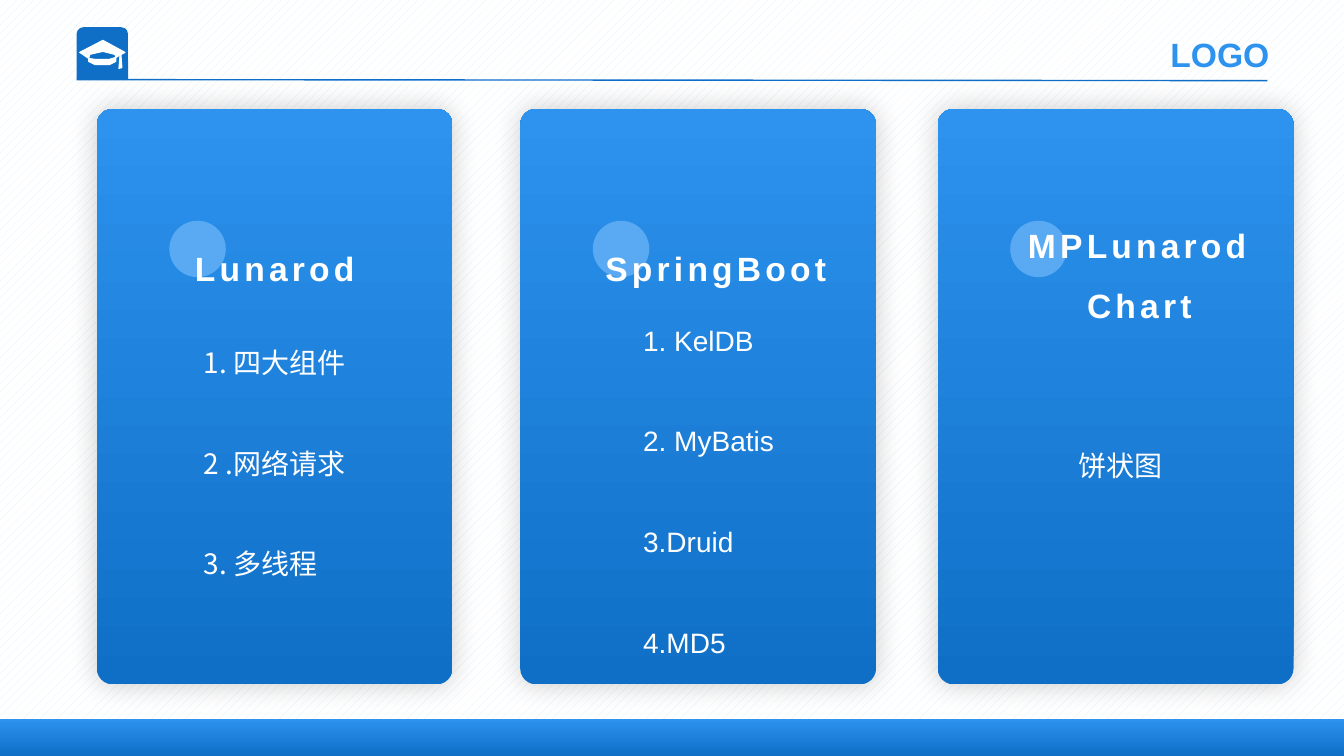
import pptx
import pptx.util
import pptx.dml.color
import pptx.enum.dml
import pptx.enum.shapes
import pptx.enum.text
import pptx.oxml
import pptx.oxml.ns
import lxml.etree

Inches = pptx.util.Inches
Pt = pptx.util.Pt
SHAPE = pptx.enum.shapes.MSO_SHAPE
ALIGN = pptx.enum.text.PP_ALIGN
COLORS = {"deep": "0F6FC6", "bright": "2D93EF", "dot": "59AAF2",
          "tint": "DBEFF9", "white": "FFFFFF", "black": "000000"}
LATIN = "Arial"
CJK = "Noto Sans CJK SC"


def rgb(name):
    return pptx.dml.color.RGBColor.from_string(COLORS[name])


def gradient(fill, start, end, angle):
    fill.gradient()
    fill.gradient_angle = angle
    for stop, name in zip(fill.gradient_stops, (start, end)):
        stop.color.rgb = rgb(name)


class Deck:
    def __init__(self):
        self.prs = pptx.Presentation()
        self.prs.slide_width = Inches(13.33)
        self.prs.slide_height = Inches(7.5)
        self.s = self.prs.slides.add_slide(self.prs.slide_layouts[6])
        self.shapes = self.s.shapes

    def shape(self, kind, x, y, w, h, fill=None, adj=()):
        sp = self.shapes.add_shape(kind, Inches(x), Inches(y), Inches(w), Inches(h))
        for i, value in enumerate(adj):
            sp.adjustments[i] = value
        if fill:
            sp.fill.solid()
            sp.fill.fore_color.rgb = rgb(fill)
        else:
            gradient(sp.fill, "deep", "bright", 90)
        sp.line.fill.background()
        sp.shadow.inherit = False
        return sp

    def pattern(self, x, y, w, h):
        sp = self.shape(SHAPE.RECTANGLE, x, y, w, h, "white")
        sp.fill.patterned()
        sp.fill.pattern = pptx.enum.dml.MSO_PATTERN.PERCENT_20
        sp.fill.fore_color.rgb = rgb("tint")
        sp.fill.back_color.rgb = rgb("white")

    def glow(self, sp, blur, alpha):
        effects = sp._element.spPr.find(pptx.oxml.ns.qn("a:effectLst"))
        shadow = lxml.etree.SubElement(effects, pptx.oxml.ns.qn("a:outerShdw"),
                                       blurRad=str(Pt(blur)), dist="0", dir="0",
                                       algn="ctr", rotWithShape="0")
        color = lxml.etree.SubElement(shadow, pptx.oxml.ns.qn("a:srgbClr"),
                                      val=COLORS["black"])
        lxml.etree.SubElement(color, pptx.oxml.ns.qn("a:alpha"), val=str(alpha * 1000))

    def polygon(self, points):
        points = [(Inches(x), Inches(y)) for x, y in points]
        builder = self.s.shapes.build_freeform(*points[0])
        builder.add_line_segments(points[1:], close=True)
        sp = builder.convert_to_shape()
        sp.fill.solid()
        sp.fill.fore_color.rgb = rgb("white")
        sp.line.color.rgb = rgb("white")
        sp.line.width = Pt(0.75)
        sp.shadow.inherit = False

    def line(self, x1, y1, x2, y2):
        cn = self.shapes.add_connector(pptx.enum.shapes.MSO_CONNECTOR.STRAIGHT,
                                       Inches(x1), Inches(y1), Inches(x2), Inches(y2))
        cn.line.color.rgb = rgb("deep")
        cn.line.width = Pt(1)
        lxml.etree.SubElement(cn._element.spPr, pptx.oxml.ns.qn("a:effectLst"))

    def text(self, x, y, w, h, lines, size, font=LATIN, bold=False, align=ALIGN.JUSTIFY,
             spacing=1.5, gap=36, indent=0, tracking=0, wrap=True):
        tb = self.shapes.add_textbox(Inches(x), Inches(y), Inches(w), Inches(h))
        tf = tb.text_frame
        tf.word_wrap = wrap
        tf.text = "\n".join(lines)
        for i, p in enumerate(tf.paragraphs):
            p.alignment = align
            p.line_spacing = spacing
            p.space_before = Pt(gap if i else 0)
            if indent:
                p._p.get_or_add_pPr().set("marL", str(Inches(indent)))
            r = p.runs[0]
            r.font.size = Pt(size)
            r.font.bold = bold
            r.font.name = font
            r.font.color.rgb = rgb("white")
            rPr = r._r.get_or_add_rPr()
            lxml.etree.SubElement(rPr, pptx.oxml.ns.qn("a:ea"), typeface=CJK)
            if tracking:
                rPr.set("spc", str(tracking * 100))
        return tf

    def card(self, x, heading, heading_box, items, items_box, **style):
        self.shapes = self.s.shapes.add_group_shape().shapes
        panel = self.shape(SHAPE.ROUNDED_RECTANGLE, x, 1.08, 3.53, 5.71, adj=[0.045])
        self.glow(panel, 20, 20)
        self.text(*items_box, items, 20, **style)
        self.shape(SHAPE.OVAL, x + 0.72, 2.19, 0.56, 0.56, "dot")
        self.text(*heading_box, [heading], 24, bold=True, align=ALIGN.CENTER, tracking=3)
        self.shapes = self.s.shapes


def main():
    deck = Deck()
    deck.pattern(0, 0, 13.33, 7.5)
    deck.shape(SHAPE.ROUND_2_SAME_RECTANGLE, 0.76, 0.27, 0.51, 0.52, "deep", [0.13, 0])
    deck.shape(SHAPE.RECTANGLE, 0, 7.13, 13.33, 0.37)

    cap_board = [(0.79, 0.52), (1.02, 0.4), (1.24, 0.52), (1.15, 0.57), (1.14, 0.54),
                 (1.02, 0.51), (0.89, 0.54), (0.88, 0.58)]
    cap_band = [(0.88, 0.58), (0.95, 0.59), (1.08, 0.59), (1.15, 0.57), (1.15, 0.61),
                (1.09, 0.64), (0.94, 0.64), (0.88, 0.61)]
    cap_tassel = [(1.19, 0.55), (1.2, 0.54), (1.21, 0.67), (1.18, 0.68)]
    for points in (cap_board, cap_band, cap_tassel):
        deck.polygon(points)

    deck.line(0.76, 0.79, 12.57, 0.8)
    tf = deck.text(11.51, 0.29, 1.19, 0.5, ["LOGO"], 24, bold=True,
                   align=ALIGN.LEFT, spacing=1, wrap=False)
    gradient(tf.paragraphs[0].runs[0].font.fill, "bright", "deep", 270)

    deck.card(0.96, "Lunarod", (1.63, 2.21, 2.19, 0.63),
              ["1. 四大组件", "2 .网络请求", "3. 多线程"],
              (1.92, 3.21, 1.72, 2.57), font=CJK)
    deck.card(9.3, "MPLunarodChart", (10, 1.98, 2.6, 1.24),
              ["饼状图"], (9.6, 4.23, 2.88, 0.55), indent=1)
    deck.card(5.16, "SpringBoot", (5.83, 2.21, 2.54, 0.63),
              ["1. KelDB", "2. MyBatis", "3.Druid", "4.MD5"],
              (6.28, 2.99, 1.64, 3.57))
    deck.prs.save("out.pptx")


if __name__ == "__main__":
    main()
